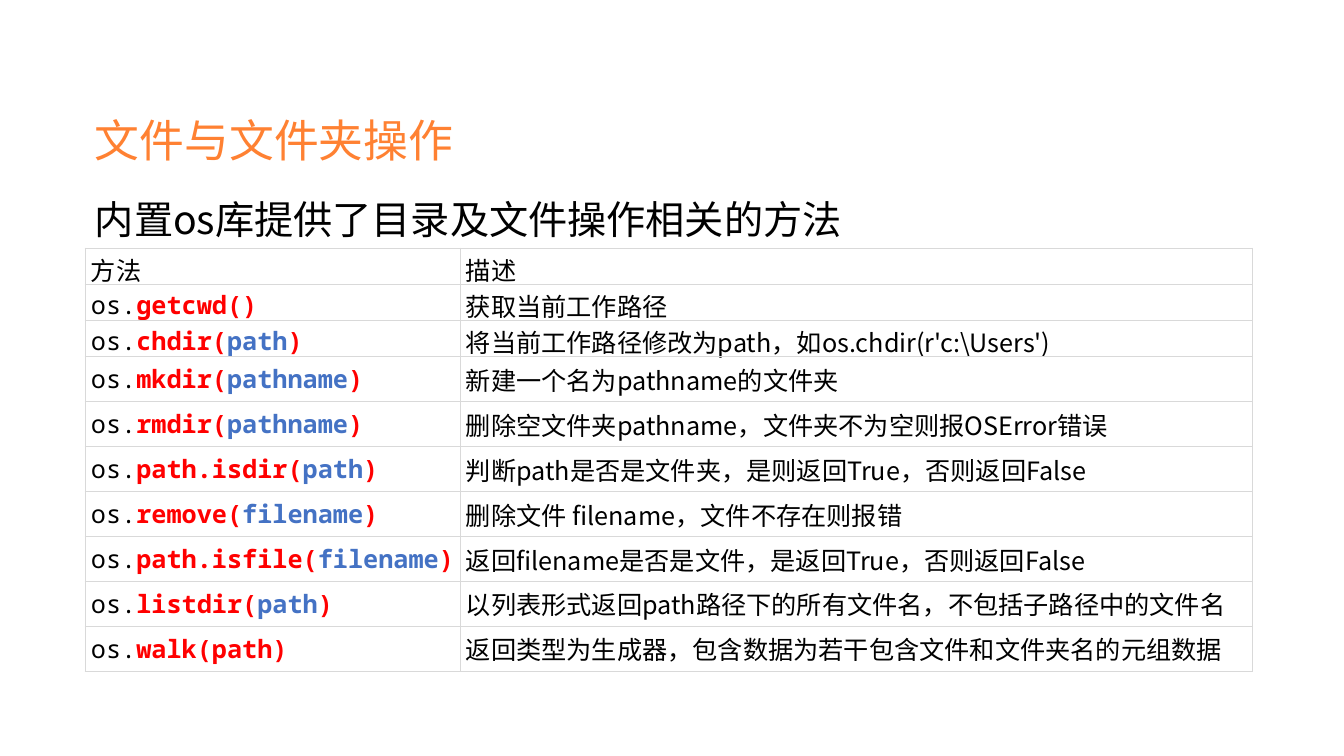
import pptx
import pptx.dml.color
import pptx.enum.text
import pptx.oxml
import pptx.oxml.ns
import pptx.util
from lxml import etree

PX = 914400 / 100.8
SANS, MONO = "Noto Sans CJK SC", "Noto Sans Mono"
BLACK, ORANGE, RED, BLUE, GREY = "000000", "FF8132", "FF0000", "4472C4", "D9D9D9"
METHODS = [
    ("getcwd()", "", "获取当前工作路径"),
    ("chdir(", "path", "将当前工作路径修改为path，如os.chdir(r'c:\\Users')"),
    ("mkdir(", "pathname", "新建一个名为pathname的文件夹"),
    ("rmdir(", "pathname", "删除空文件夹pathname，文件夹不为空则报OSError错误"),
    ("path.isdir(", "path", "判断path是否是文件夹，是则返回True，否则返回False"),
    ("remove(", "filename", "删除文件 filename，文件不存在则报错"),
    ("path.isfile(", "filename", "返回filename是否是文件，是返回True，否则返回False"),
    ("listdir(", "path", "以列表形式返回path路径下的所有文件名，不包括子路径中的文件名"),
    ("walk(path)", "", "返回类型为生成器，包含数据为若干包含文件和文件夹名的元组数据"),
]


def px(length):
    return pptx.util.Emu(round(length * PX))


def add_run(paragraph, text, size, color=BLACK, font=SANS, bold=False):
    """Append a run, using the font for Latin and East Asian text alike."""
    run = paragraph.add_run()
    run.text = text
    run.font.size = pptx.util.Pt(size)
    run.font.bold = bold
    run.font.name = font
    run.font.color.rgb = pptx.dml.color.RGBColor.from_string(color)
    east_asian = etree.SubElement(run.font._element, pptx.oxml.ns.qn("a:ea"))
    east_asian.set("typeface", font)


prs = pptx.Presentation()
prs.slide_width, prs.slide_height = px(1344), px(756)
slide = prs.slides.add_slide(prs.slide_layouts[6])

# Headings
for text, top, width, height, size, color, spacing, wrap in [
    ("内置os库提供了目录及文件操作相关的方法", 176, 792, 67, 28, BLACK, 1.3, True),
    ("文件与文件夹操作", 108, 382, 65, 32, ORANGE, 1.0, False),
]:
    frame = slide.shapes.add_textbox(px(85), px(top), px(width), px(height)).text_frame
    frame.word_wrap = wrap
    frame.auto_size = pptx.enum.text.MSO_AUTO_SIZE.SHAPE_TO_FIT_TEXT
    frame.paragraphs[0].line_spacing = spacing
    add_run(frame.paragraphs[0], text, size, color)

# Method table
row_heights = [25] * 3 + [45] * 7
column_widths = [375, 792]
methods = slide.shapes.add_table(
    len(row_heights), len(column_widths), px(85), px(248),
    px(sum(column_widths)), px(sum(row_heights))).table
methods.first_row = methods.horz_banding = False
for column, width in zip(methods.columns, column_widths):
    column.width = px(width)
for row, height in zip(methods.rows, row_heights):
    row.height = px(height)

for cell in methods.iter_cells():
    cell.vertical_anchor = pptx.enum.text.MSO_ANCHOR.MIDDLE
    cell.margin_left = cell.margin_right = px(6)
    cell.margin_top = cell.margin_bottom = px(3)
    properties = cell._tc.get_or_add_tcPr()
    for side in ("lnL", "lnR", "lnT", "lnB"):
        properties.append(pptx.oxml.parse_xml(
            f'<a:{side} {pptx.oxml.ns.nsdecls("a")} w="{pptx.util.Pt(0.75)}">'
            f'<a:solidFill><a:srgbClr val="{GREY}"/></a:solidFill></a:{side}>'))
    cell.fill.background()

for column, heading in enumerate(("方法", "描述")):
    add_run(methods.cell(0, column).text_frame.paragraphs[0], heading, 18)

for row, (call, argument, description) in enumerate(METHODS, start=1):
    signature = methods.cell(row, 0).text_frame.paragraphs[0]
    add_run(signature, "os.", 18, font=MONO)
    add_run(signature, call, 18, RED, MONO, True)
    if argument:
        add_run(signature, argument, 18, BLUE, MONO, True)
        add_run(signature, ")", 18, RED, MONO, True)
    add_run(methods.cell(row, 1).text_frame.paragraphs[0], description, 18)

prs.save("out.pptx")
